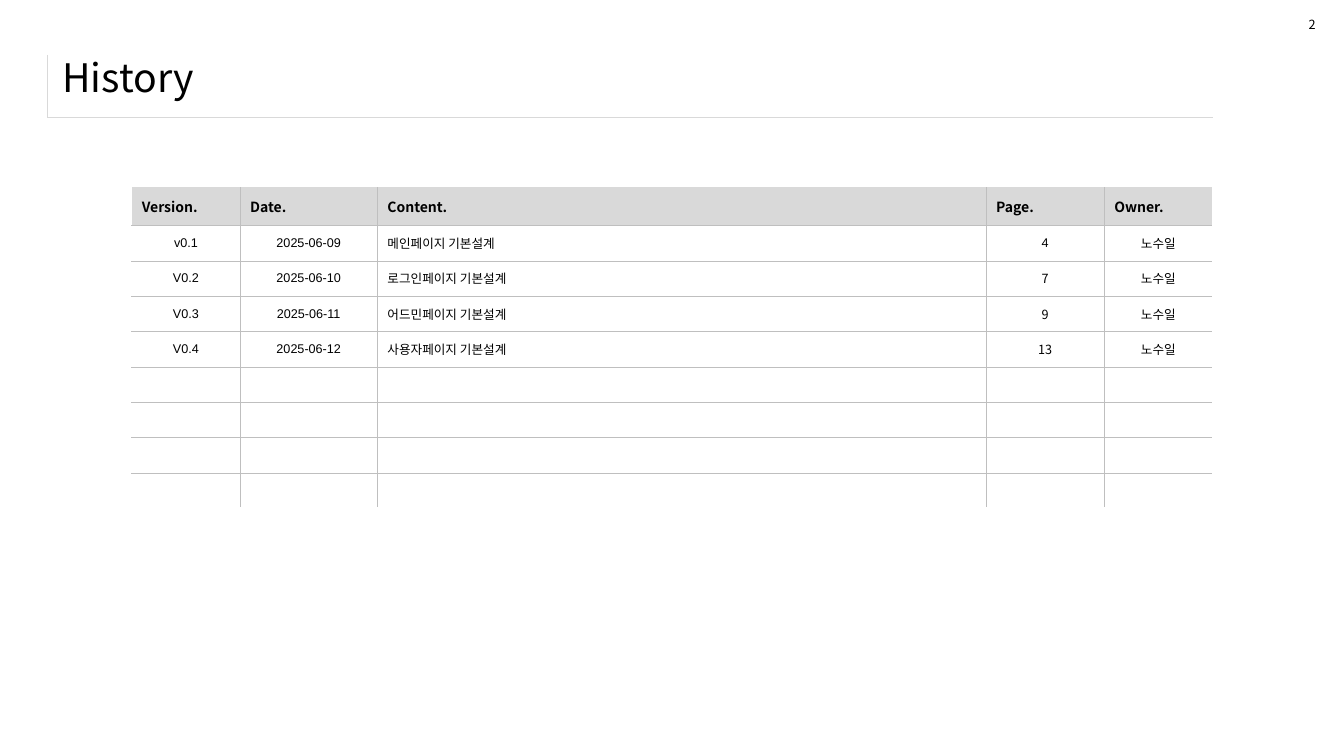
from lxml import etree
from pptx import Presentation
from pptx.dml.color import RGBColor
from pptx.enum.text import MSO_ANCHOR, PP_ALIGN
from pptx.oxml.ns import qn
from pptx.util import Cm, Pt

LEFT, CENTER = PP_ALIGN.LEFT, PP_ALIGN.CENTER
MIDDLE = MSO_ANCHOR.MIDDLE
SANS, ARIAL = "Noto Sans CJK KR", "Arial"
BLACK, WHITE, RULE_GREY, GRID_GREY = "000000", "FFFFFF", "D9D9D9", "BFBFBF"

TITLE = "History"
PAGE_NUMBER = "2"
HEADINGS = ["Version.", "Date.", "Content.", "Page.", "Owner."]
REVISIONS = [
    ("v0.1", "2025-06-09", "메인페이지 기본설계", "4", "노수일"),
    ("V0.2", "2025-06-10", "로그인페이지 기본설계", "7", "노수일"),
    ("V0.3", "2025-06-11", "어드민페이지 기본설계", "9", "노수일"),
    ("V0.4", "2025-06-12", "사용자페이지 기본설계", "13", "노수일"),
]
EMPTY_ROWS = 4
COLUMN_WIDTHS = [2.73, 3.46, 15.34, 2.98, 2.72]
COLUMN_FONTS = [ARIAL, ARIAL, SANS, SANS, SANS]
COLUMN_ALIGNS = [CENTER, CENTER, LEFT, CENTER, CENTER]
CELL_FONTS = {(1, 3): ARIAL}
HEADING_HEIGHT, ROW_HEIGHT = 0.96, 0.89
HISTORY_LEFT, HISTORY_TOP = 3.32, 4.72
TITLE_FRAME = (1.19, 1.38, 29.37, 1.58)


def color(hex_string):
    return RGBColor.from_string(hex_string)


def write(frame, text, size=9, font=SANS, bold=False, align=LEFT):
    paragraph = frame.paragraphs[0]
    paragraph.alignment = align
    if not text:
        etree.SubElement(paragraph._p, qn("a:endParaRPr"), sz=str(size * 100))
        return
    run = paragraph.add_run()
    run.text = text
    run.font.size = Pt(size)
    run.font.name = font
    run.font.bold = bold
    run.font.color.rgb = color(BLACK)
    etree.SubElement(run._r.get_or_add_rPr(), qn("a:ea"), typeface=SANS)


def set_borders(cell, left=None, right=None, top=None, bottom=None):
    properties = cell._tc.get_or_add_tcPr()
    for side, border in zip("LRTB", (left, right, top, bottom)):
        hex_string, width = border or (None, 0)
        line = etree.SubElement(properties, qn(f"a:ln{side}"), w=str(Pt(width)))
        if hex_string:
            fill = etree.SubElement(line, qn("a:solidFill"))
            etree.SubElement(fill, qn("a:srgbClr"), val=hex_string)
        else:
            etree.SubElement(line, qn("a:noFill"))


def add_plain_table(slide, left, top, widths, heights):
    table = slide.shapes.add_table(
        len(heights), len(widths), Cm(left), Cm(top),
        Cm(sum(widths)), Cm(sum(heights))).table
    table.first_row = table.horz_banding = False
    for column, width in zip(table.columns, widths):
        column.width = Cm(width)
    for row, height in zip(table.rows, heights):
        row.height = Cm(height)
    return table


def add_title_frame(slide):
    left, top, width, height = TITLE_FRAME
    cell = add_plain_table(slide, left, top, [width], [height]).cell(0, 0)
    rule = (RULE_GREY, 0.25)
    set_borders(cell, left=rule, bottom=rule)
    cell.fill.background()
    write(cell.text_frame, "")


def add_history(slide):
    rows = [HEADINGS, *REVISIONS] + [[""] * len(HEADINGS)] * EMPTY_ROWS
    last_row, last_column = len(rows) - 1, len(HEADINGS) - 1
    heights = [HEADING_HEIGHT] + [ROW_HEIGHT] * last_row
    history = add_plain_table(slide, HISTORY_LEFT, HISTORY_TOP, COLUMN_WIDTHS, heights)
    grid, edge = (GRID_GREY, 0.25), (WHITE, 1)
    for r, values in enumerate(rows):
        for c, value in enumerate(values):
            cell = history.cell(r, c)
            cell.vertical_anchor = MIDDLE
            set_borders(
                cell,
                left=grid if c else edge,
                right=grid if c < last_column else None,
                top=grid if r else None,
                bottom=grid if r < last_row else edge)
            if r == 0:
                cell.fill.solid()
                cell.fill.fore_color.rgb = color(RULE_GREY)
                write(cell.text_frame, value, size=10, bold=True)
            else:
                cell.fill.background()
                font = CELL_FONTS.get((r, c), COLUMN_FONTS[c])
                write(cell.text_frame, value, font=font, align=COLUMN_ALIGNS[c])


def main():
    deck = Presentation()
    deck.slide_width, deck.slide_height = Cm(33.87), Cm(19.05)
    slide = deck.slides.add_slide(deck.slide_layouts[5])

    add_title_frame(slide)

    title = slide.shapes.title
    title.left, title.top, title.width, title.height = Cm(1.32), Cm(1.13), Cm(31.72), Cm(1.6)
    title.text_frame.vertical_anchor = MIDDLE
    write(title.text_frame, TITLE, size=28)

    add_history(slide)

    page_number = slide.shapes.add_textbox(Cm(32.73), Cm(0.3), Cm(0.69), Cm(0.64))
    page_number.text_frame.word_wrap = False
    write(page_number.text_frame, PAGE_NUMBER)

    deck.save("out.pptx")


if __name__ == "__main__":
    main()
